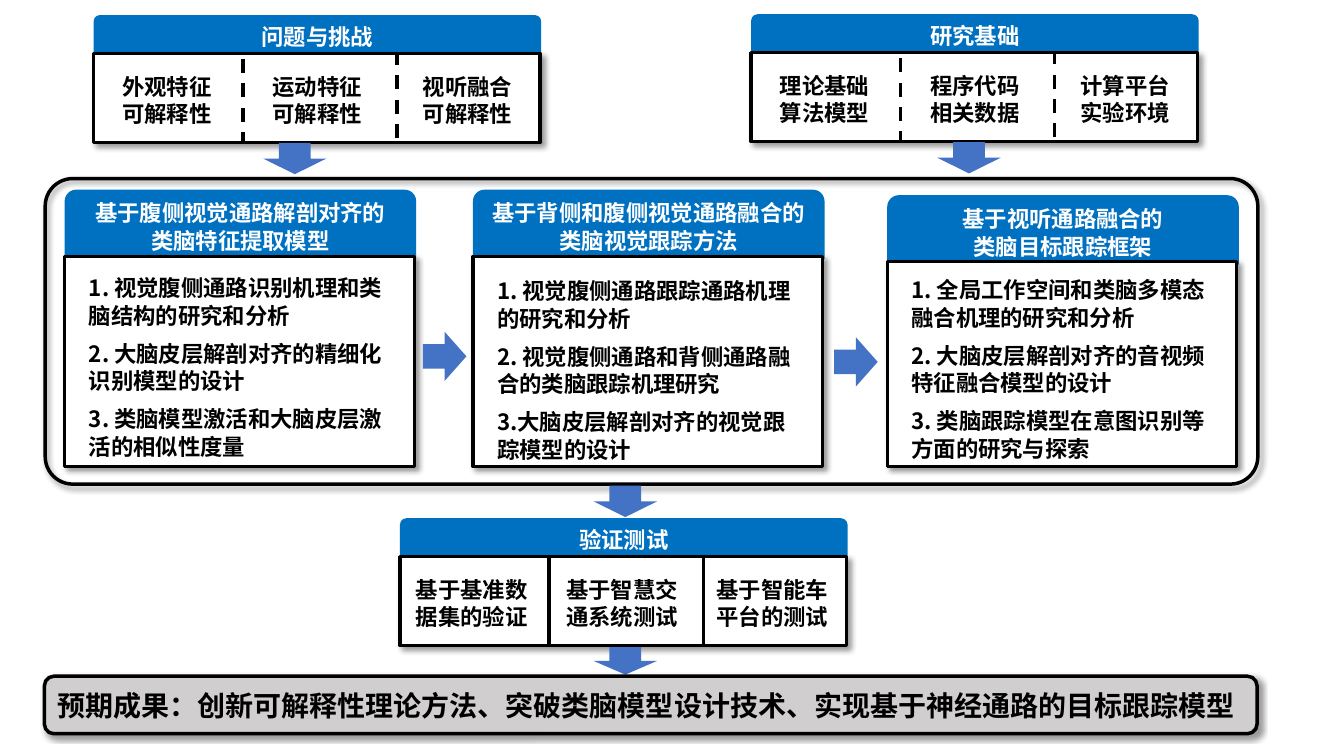
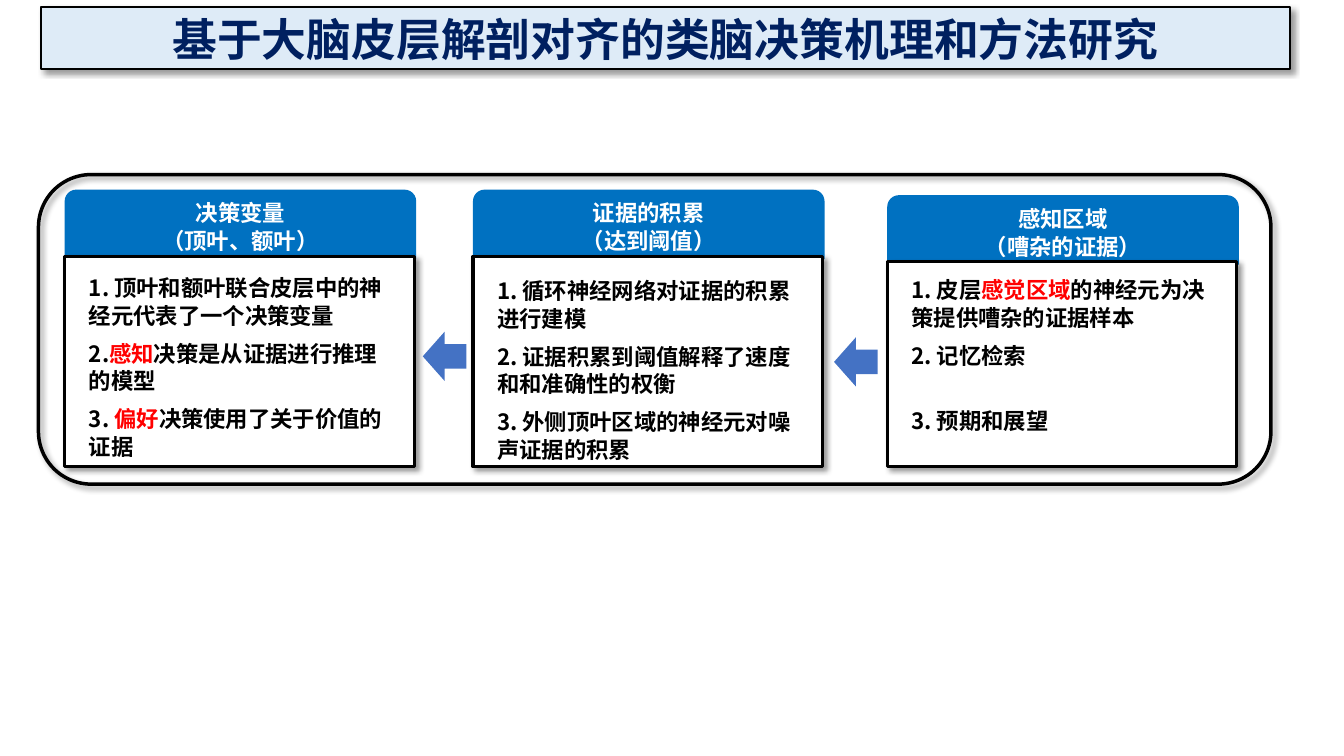
from lxml import etree
from pptx import Presentation
from pptx.dml.color import RGBColor
from pptx.enum.dml import MSO_LINE
from pptx.enum.shapes import MSO_SHAPE
from pptx.enum.text import MSO_ANCHOR, MSO_AUTO_SIZE, PP_ALIGN
from pptx.oxml.ns import qn
from pptx.util import Cm, Pt

RECTANGLE = MSO_SHAPE.RECTANGLE
ROUNDED = MSO_SHAPE.ROUNDED_RECTANGLE
TOP_ROUNDED = MSO_SHAPE.ROUND_2_SAME_RECTANGLE
RIGHT_ARROW = MSO_SHAPE.RIGHT_ARROW
LEFT_ARROW = MSO_SHAPE.LEFT_ARROW
DOWN_ARROW = MSO_SHAPE.DOWN_ARROW
DASH = MSO_LINE.DASH
TOP = MSO_ANCHOR.TOP
MIDDLE = MSO_ANCHOR.MIDDLE
LEFT = PP_ALIGN.LEFT
CENTER = PP_ALIGN.CENTER
NO_AUTO_SIZE = MSO_AUTO_SIZE.NONE

FONT = "Noto Sans CJK SC"
COLORS = {
    "header": "0071C1", "arrow": "4472C4", "white": "FFFFFF", "black": "000000",
    "red": "FF0000", "result": "D0CECE", "title_fill": "DEEBF7", "title": "002060",
}
LEADING = {16: 19.5, 20: 24.5, 32: 39}
HEADER_LEADING = 20

PANEL_LEFTS = (1.63, 11.92, 22.36)
PANEL_TOPS = (4.78, 4.78, 4.92)
ITEM_TOPS = (6.78, 6.86, 6.83)
PANEL_WIDTH = 8.86
PANEL_BOTTOM = 11.76
ITEM_STEP = 1.65
ARROW_WIDTH = 1.1
CARD_WIDTH = 11.28
CELL_STEP = 3.79

RESEARCH_PANELS = (
    (("基于腹侧视觉通路解剖对齐的", "类脑特征提取模型"),
     ("1. 视觉腹侧通路识别机理和类脑结构的研究和分析",
      "2. 大脑皮层解剖对齐的精细化识别模型的设计",
      "3. 类脑模型激活和大脑皮层激活的相似性度量")),
    (("基于背侧和腹侧视觉通路融合的", "类脑视觉跟踪方法"),
     ("1. 视觉腹侧通路跟踪通路机理的研究和分析",
      "2. 视觉腹侧通路和背侧通路融合的类脑跟踪机理研究",
      "3.大脑皮层解剖对齐的视觉跟踪模型的设计")),
    (("基于视听通路融合的", "类脑目标跟踪框架"),
     ("1. 全局工作空间和类脑多模态融合机理的研究和分析",
      "2. 大脑皮层解剖对齐的音视频特征融合模型的设计",
      "3. 类脑跟踪模型在意图识别等方面的研究与探索")),
)
DECISION_PANELS = (
    (("决策变量", "（顶叶、额叶）"),
     ("1. 顶叶和额叶联合皮层中的神经元代表了一个决策变量",
      "2.|感知|决策是从证据进行推理的模型",
      "3. |偏好|决策使用了关于价值的证据")),
    (("证据的积累", "（达到阈值）"),
     ("1. 循环神经网络对证据的积累进行建模",
      "2. 证据积累到阈值解释了速度和和准确性的权衡",
      "3. 外侧顶叶区域的神经元对噪声证据的积累")),
    (("感知区域", "（嘈杂的证据）"),
     ("1. 皮层|感觉区域|的神经元为决策提供嘈杂的证据样本",
      "2. 记忆检索",
      "3. 预期和展望")),
)


def rgb(name):
    return RGBColor.from_string(COLORS[name])


def write(shape, lines, size=16, color="black", align=LEFT, anchor=TOP, leading=None):
    frame = shape.text_frame
    frame.word_wrap = True
    frame.auto_size = NO_AUTO_SIZE
    frame.vertical_anchor = anchor
    for index, line in enumerate(lines):
        para = frame.add_paragraph() if index else frame.paragraphs[0]
        para.alignment = align
        para.line_spacing = Pt(leading or LEADING[size])
        para.font.name = FONT
        para.font.size = Pt(size)
        para.font.bold = True
        para.font.color.rgb = rgb(color)
        defaults = para._p.get_or_add_pPr().find(qn("a:defRPr"))
        etree.SubElement(defaults, qn("a:ea"), typeface=FONT)
        for position, text in enumerate(line.split("|")):
            span = para.add_run()
            span.text = text
            if position % 2:
                span.font.color.rgb = rgb("red")


def style(shape, fill=None, line_width=None, dash=None, shadow=False):
    if fill:
        shape.fill.solid()
        shape.fill.fore_color.rgb = rgb(fill)
    else:
        shape.fill.background()
    if line_width:
        shape.line.color.rgb = rgb("black")
        shape.line.width = Pt(line_width)
    else:
        shape.line.fill.background()
    if dash:
        shape.line.dash_style = dash
    shape.shadow.inherit = False
    if shadow:
        effects = shape._element.spPr.find(qn("a:effectLst"))
        outer = etree.SubElement(
            effects, qn("a:outerShdw"), blurRad=str(Pt(4)), dist=str(Pt(3)),
            dir="2700000", algn="tl", rotWithShape="0")
        tint = etree.SubElement(outer, qn("a:srgbClr"), val=COLORS["black"])
        etree.SubElement(tint, qn("a:alpha"), val="40000")


def add_box(page, kind, left, top, width, height, **look):
    box = page.shapes.add_shape(kind, Cm(left), Cm(top), Cm(width), Cm(height))
    style(box, **look)
    return box


def add_text(page, left, top, width, lines):
    box = page.shapes.add_textbox(Cm(left), Cm(top), Cm(width), Cm(1.63))
    write(box, lines)


def add_header(page, left, top, width, height, lines):
    header = add_box(page, TOP_ROUNDED, left, top, width, height, fill="header")
    write(header, lines, color="white", align=CENTER, leading=HEADER_LEADING)


def add_down_arrow(page, center, top, height=0.79):
    add_box(page, DOWN_ARROW, center - 0.8, top, 1.6, height, fill="arrow")


def add_frame(page, left, top, width, height, rounding):
    frame = add_box(page, ROUNDED, left, top, width, height, line_width=2.5, shadow=True)
    frame.adjustments[0] = rounding


def add_panels(page, panels, arrow):
    for index, (heading, items) in enumerate(panels):
        left, top = PANEL_LEFTS[index], PANEL_TOPS[index]
        add_header(page, left, top, PANEL_WIDTH, 1.75, heading)
        body_top = top + 1.68
        add_box(page, RECTANGLE, left, body_top, PANEL_WIDTH - 0.05, PANEL_BOTTOM - body_top,
                fill="white", line_width=2.25, shadow=True)
        for row, item in enumerate(items):
            add_text(page, left + 0.36, ITEM_TOPS[index] + row * ITEM_STEP, 8.13, [item])
        if index:
            gap_center = (PANEL_LEFTS[index - 1] + PANEL_WIDTH + left) / 2
            add_box(page, arrow, gap_center - ARROW_WIDTH / 2, top + 3.58,
                    ARROW_WIDTH, 1.24, fill="arrow")


def add_card(page, left, top, heading, cells, cell_width=2.84, dash=None):
    add_header(page, left, top, CARD_WIDTH, 0.97, [heading])
    body_top = top + 0.97
    add_box(page, RECTANGLE, left, body_top, CARD_WIDTH - 0.03, 2.24,
            fill="white", line_width=2.5, shadow=True)
    add_box(page, RECTANGLE, left + 3.76, body_top, 3.89, 2.24, line_width=2.5, dash=dash)
    for index, lines in enumerate(cells):
        cell_center = left + 1.89 + index * CELL_STEP
        add_text(page, cell_center - cell_width / 2, top + 1.32, cell_width, lines)


def build_roadmap(deck):
    page = deck.slides.add_slide(deck.slide_layouts[6])
    add_card(page, 2.36, 0.38, "问题与挑战",
             (["外观特征可解释性"], ["运动特征可解释性"], ["视听融合可解释性"]), dash=DASH)
    add_card(page, 18.93, 0.36, "研究基础",
             (["理论基础", "算法模型"], ["程序代码", "相关数据"], ["计算平台", "实验环境"]),
             dash=DASH)
    add_panels(page, RESEARCH_PANELS, RIGHT_ARROW)
    add_frame(page, 1.14, 4.5, 30.56, 7.7, 0.09)
    add_card(page, 10.08, 13.06, "验证测试",
             (["基于基准数据集的验证"], ["基于智慧交通系统测试"], ["基于智能车平台的测试"]),
             cell_width=3.48)
    add_down_arrow(page, 7.43, 3.6)
    add_down_arrow(page, 24.42, 3.58)
    add_down_arrow(page, 15.76, 12.24)
    add_down_arrow(page, 15.76, 16.31, 0.69)
    result = add_box(page, ROUNDED, 1.12, 17.04, 30.56, 1.45,
                     fill="result", line_width=2.5, shadow=True)
    write(result, ["预期成果：创新可解释性理论方法、突破类脑模型设计技术、实现基于神经通路的目标跟踪模型"],
          size=20, anchor=MIDDLE)


def build_decision(deck):
    page = deck.slides.add_slide(deck.slide_layouts[5])
    title = page.shapes.title
    title.left, title.top, title.width, title.height = Cm(1.04), Cm(0.18), Cm(31.47), Cm(1.57)
    style(title, fill="title_fill", line_width=1.5, shadow=True)
    write(title, ["基于大脑皮层解剖对齐的类脑决策机理和方法研究"],
          size=32, color="title", align=CENTER, anchor=MIDDLE)
    add_panels(page, DECISION_PANELS, LEFT_ARROW)
    add_frame(page, 0.97, 4.4, 31.06, 7.8, 0.17)


def main():
    deck = Presentation()
    deck.slide_width, deck.slide_height = Cm(33.87), Cm(19.05)
    build_roadmap(deck)
    build_decision(deck)
    deck.save("out.pptx")


if __name__ == "__main__":
    main()
